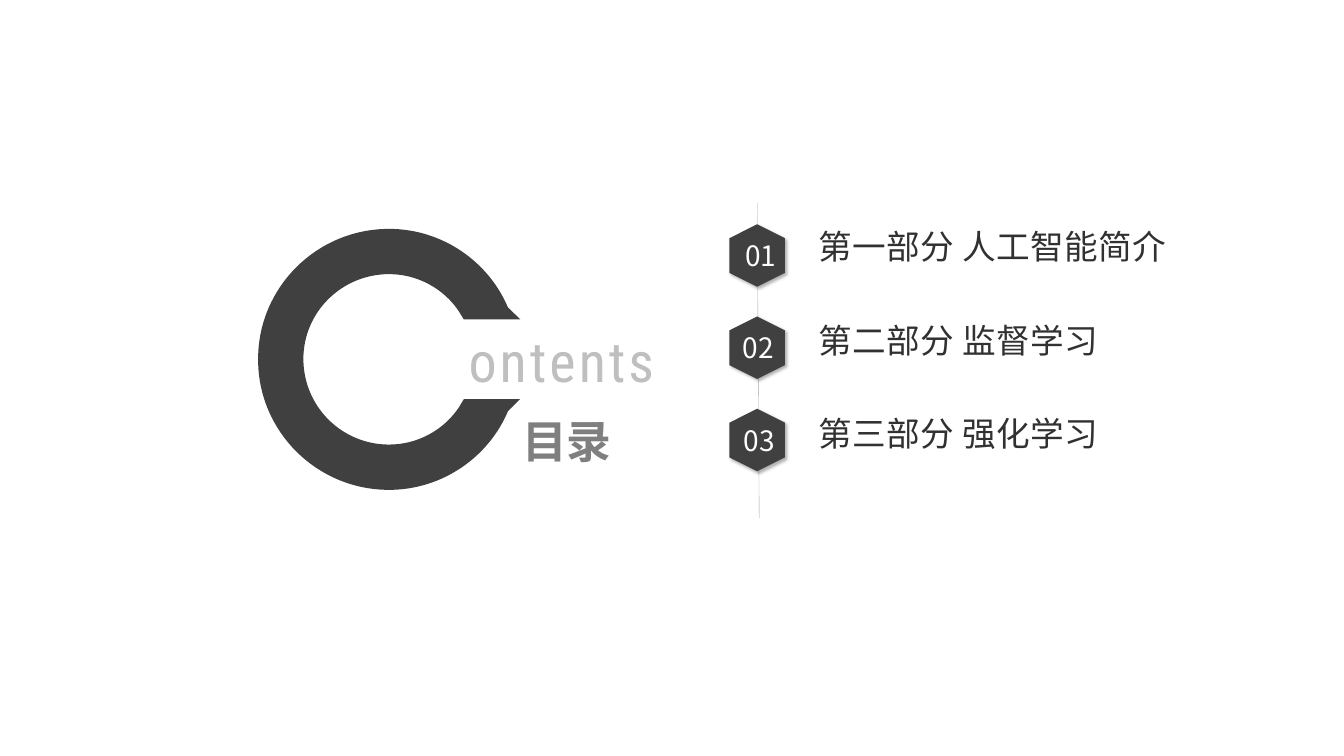
from lxml import etree
from pptx import Presentation
from pptx.dml.color import RGBColor
from pptx.enum.shapes import MSO_CONNECTOR, MSO_SHAPE
from pptx.enum.text import MSO_ANCHOR, MSO_AUTO_SIZE, PP_ALIGN
from pptx.oxml.ns import qn
from pptx.util import Inches, Pt

HEXAGON = MSO_SHAPE.HEXAGON
STRAIGHT = MSO_CONNECTOR.STRAIGHT
TOP, MIDDLE = MSO_ANCHOR.TOP, MSO_ANCHOR.MIDDLE
GROW, FIXED = MSO_AUTO_SIZE.SHAPE_TO_FIT_TEXT, MSO_AUTO_SIZE.NONE
LEFT, CENTER, JUSTIFY = PP_ALIGN.LEFT, PP_ALIGN.CENTER, PP_ALIGN.JUSTIFY

COLORS = {"dark": "404040", "pale": "BFBFBF", "gray": "7F7F7F",
          "rule": "A6A6A6", "ink": "313131", "white": "FFFFFF"}
SANS, LATIN = "Noto Sans CJK SC", "Roboto Condensed"
STYLES = {
    "word": {"font": {"name": LATIN, "size": Pt(40)}, "color": "pale", "gap": 220,
             "frame": {"word_wrap": True, "auto_size": GROW, "vertical_anchor": TOP},
             "align": LEFT},
    "label": {"font": {"name": SANS, "size": Pt(32), "bold": True}, "color": "gray", "gap": 0,
              "frame": {"word_wrap": True, "auto_size": FIXED, "vertical_anchor": MIDDLE},
              "align": JUSTIFY},
    "number": {"font": {"name": SANS, "size": Pt(20)}, "color": "white", "gap": 0,
               "frame": {"word_wrap": True, "auto_size": FIXED, "vertical_anchor": MIDDLE},
               "align": CENTER},
    "title": {"font": {"name": SANS, "size": Pt(24)}, "color": "ink", "gap": 27,
              "frame": {"word_wrap": False, "auto_size": GROW, "vertical_anchor": TOP},
              "align": CENTER},
}
PARTS = [("01", -0.02, 0.73, "第一部分 人工智能简介", 3.68),
         ("02", -0.04, 0.72, "第二部分 监督学习", 3.01),
         ("03", -0.01, 0.68, "第三部分 强化学习", 3.01)]
SIZE = 2.45
HALF = [(0, 1.22), (0, 0.55), (0.55, 0), (1.23, 0),
        (1.73, 0), (2.17, 0.31), (2.35, 0.75),
        (2.36, 0.76), (2.01, 0.76), (1.98, 0.71),
        (1.82, 0.47), (1.54, 0.31), (1.23, 0.31),
        (0.72, 0.31), (0.31, 0.72), (0.31, 1.22)]
KINDS = "CCLLLCC"


def rgb(name):
    """Return the named colour."""
    return RGBColor.from_string(COLORS[name])


def apply(target, values):
    """Set each attribute of target from a dict."""
    for key, value in values.items():
        setattr(target, key, value)


def add_text(shapes, text, box, style):
    """Place one line of styled text in box."""
    look = STYLES[style]
    frame = shapes.add_textbox(*map(Inches, box)).text_frame
    apply(frame, look["frame"])
    para = frame.paragraphs[0]
    para.alignment = look["align"]
    run = para.add_run()
    run.text = text
    apply(run.font, look["font"])
    run.font.color.rgb = rgb(look["color"])
    props = run.font._element
    props.set("spc", str(look["gap"]))
    east = etree.Element(qn("a:ea"), typeface=look["font"]["name"])
    props.find(qn("a:latin")).addnext(east)


def add_ring(shapes, left, top):
    """Draw the open ring: an upper half and its mirror below."""
    lower = [(x, SIZE - y) for x, y in HALF[-2::-1]]
    points = [(Inches(left + x), Inches(top + y)) for x, y in HALF + lower]
    form = shapes.build_freeform(*points[0])
    form.add_line_segments(points[1:], close=True)
    ring = form.convert_to_shape()
    steps = iter(list(ring.element.spPr.iter(qn("a:lnTo"))))
    for kind in KINDS + KINDS[::-1]:
        step = next(steps)
        if kind == "C":
            step.tag = qn("a:cubicBezTo")
            for extra in (next(steps), next(steps)):
                step.append(extra[0])
                extra.getparent().remove(extra)
    ring.shadow.inherit = False
    ring.fill.solid()
    ring.fill.fore_color.rgb = ring.line.color.rgb = rgb("dark")
    ring.line.width = Pt(10)
    edge = ring.element.spPr.find(qn("a:ln"))
    etree.SubElement(edge, qn("a:miter"), lim="800000")


def add_hex(shapes, left, top):
    """Draw an upright hexagon with a soft shadow."""
    hexa = shapes.add_shape(HEXAGON, *map(Inches, (left, top, 0.62, 0.55)))
    hexa.rotation = 270
    hexa.shadow.inherit = False
    hexa.fill.solid()
    hexa.fill.fore_color.rgb = rgb("dark")
    hexa.line.fill.background()
    effects = hexa.element.spPr.find(qn("a:effectLst"))
    shade = etree.SubElement(effects, qn("a:outerShdw"), blurRad=str(Pt(2)), dist=str(Pt(2)),
                             dir="2700000", algn="tl", rotWithShape="0")
    tint = etree.SubElement(shade, qn("a:srgbClr"), val=COLORS["dark"])
    etree.SubElement(tint, qn("a:alpha"), val="40000")


def add_rule(shapes, *ends):
    """Draw the thin line that strings the hexagons."""
    rule = shapes.add_connector(STRAIGHT, *map(Inches, ends))
    rule.line.color.rgb = rgb("rule")
    rule.line.width = Pt(0.25)
    etree.SubElement(rule.element.spPr, qn("a:effectLst"))


def add_head(slide, left, top):
    """Place the ring and the heading words as one group."""
    shapes = slide.shapes.add_group_shape().shapes
    add_ring(shapes, left, top)
    add_text(shapes, "ontents", (left + 1.92, top + 0.85, 2.53, 0.77), "word")
    add_text(shapes, "目录 ", (left + 2.45, top + 1.41, 1.61, 1.24), "label")


def add_list(slide, left, top):
    """Place the grouped numbers on their line, and the titles beside them."""
    shapes = slide.shapes.add_group_shape().shapes
    add_rule(shapes, left + 0.31, top, left + 0.33, top + 3.13)
    highs = [top + 0.25 + 0.915 * row for row in range(len(PARTS))]
    for high in highs:
        add_hex(shapes, left, high)
    for high, (number, shift, width, _, _) in zip(highs, PARTS):
        add_text(shapes, number, (left + shift, high + 0.11, width, 0.33), "number")
    for row, (_, _, _, title, width) in enumerate(PARTS):
        add_text(slide.shapes, title, (left + 0.8, top + 0.18 + 0.93 * row, width, 0.5), "title")


def main():
    """Build and save the contents slide."""
    deck = Presentation()
    deck.slide_width, deck.slide_height = Inches(13.33), Inches(7.5)
    slide = deck.slides.add_slide(deck.slide_layouts[6])
    add_head(slide, 2.63, 2.34)
    add_list(slide, 7.2, 2.01)
    deck.save("out.pptx")


if __name__ == "__main__":
    main()
